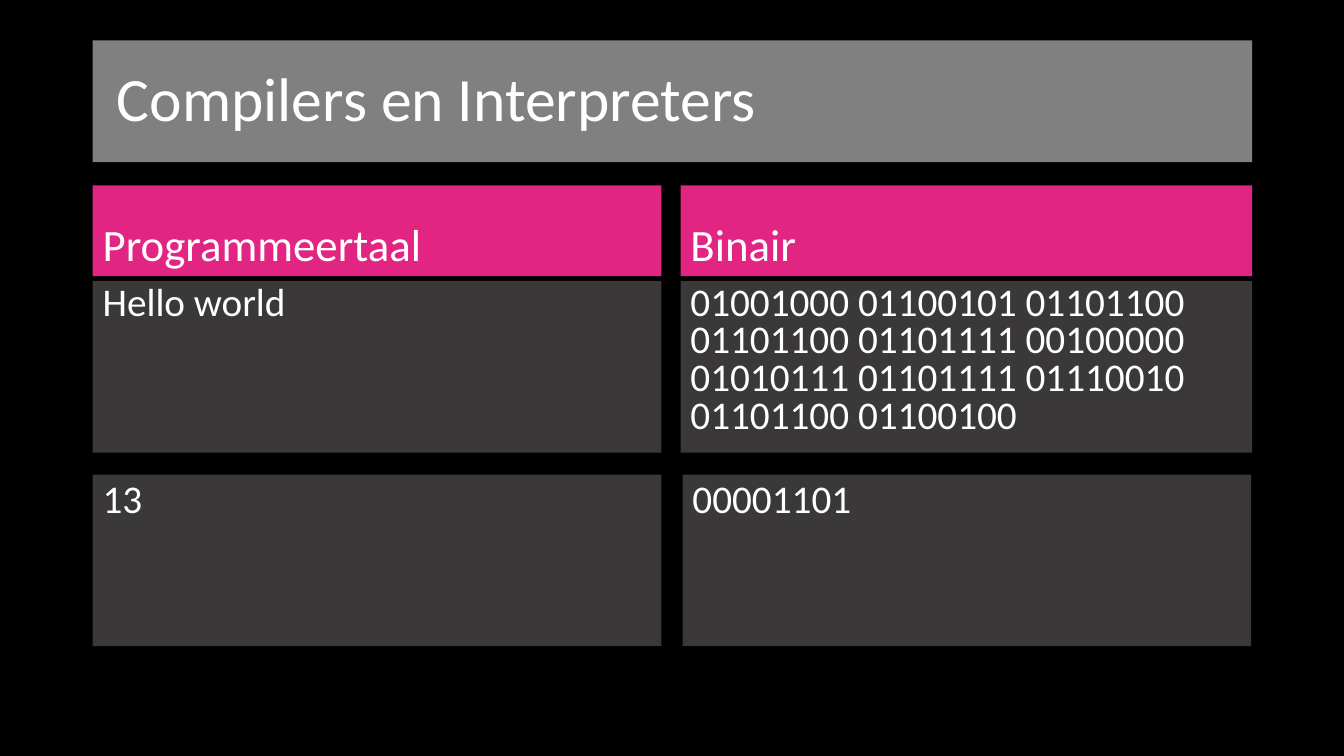
from dataclasses import dataclass

from pptx import Presentation
from pptx.dml.color import RGBColor
from pptx.enum.shapes import MSO_SHAPE
from pptx.enum.text import MSO_ANCHOR as Anchor, PP_ALIGN as Align
from pptx.slide import Slide
from pptx.util import Inches, Pt

BLACK, WHITE, GRAY = "000000", "FFFFFF", "808080"
PINK, CHARCOAL = "E22483", "3A3838"
LEFT, COLUMN_WIDTH = 0.92, 5.64
HEADING_TOP, TEXT_TOP, NUMBER_TOP = 1.84, 2.79, 4.71
HEADING_HEIGHT, CELL_HEIGHT = 0.9, 1.7


@dataclass
class Panel:
    text: str
    left: float
    top: float
    width: float
    height: float
    fill: str
    size: int
    anchor: Anchor = Anchor.TOP
    line_spacing: float = 0.9
    inset: float = 0.1


@dataclass
class Column:
    heading: str
    text: str
    number: str
    left: float
    width: float
    number_left: float


def color(value: str) -> RGBColor:
    return RGBColor.from_string(value)


def draw_panel(slide: Slide, panel: Panel) -> None:
    shape = slide.shapes.add_shape(
        MSO_SHAPE.RECTANGLE, Inches(panel.left), Inches(panel.top),
        Inches(panel.width), Inches(panel.height))
    shape.shadow.inherit = False
    shape.fill.solid()
    shape.fill.fore_color.rgb = color(panel.fill)
    shape.line.fill.background()

    frame = shape.text_frame
    frame.word_wrap = True
    frame.vertical_anchor = panel.anchor
    frame.margin_left = Inches(panel.inset)
    paragraph = frame.paragraphs[0]
    paragraph.text = panel.text
    paragraph.alignment = Align.LEFT
    paragraph.line_spacing = panel.line_spacing
    paragraph.font.name = "Calibri"
    paragraph.font.size = Pt(panel.size)
    paragraph.font.color.rgb = color(WHITE)


def draw_column(slide: Slide, column: Column) -> None:
    draw_panel(slide, Panel(column.heading, column.left, HEADING_TOP, column.width,
                            HEADING_HEIGHT, PINK, 32, Anchor.BOTTOM))
    draw_panel(slide, Panel(column.text, column.left, TEXT_TOP, column.width,
                            CELL_HEIGHT, CHARCOAL, 28, line_spacing=0.8))
    draw_panel(slide, Panel(column.number, column.number_left, NUMBER_TOP,
                            COLUMN_WIDTH, CELL_HEIGHT, CHARCOAL, 28))


TITLE = Panel("Compilers en Interpreters", LEFT, 0.4, 11.5, 1.21, GRAY, 44,
              Anchor.MIDDLE, inset=0.24)
COLUMNS = [
    Column("Programmeertaal", "Hello world", "13", LEFT, COLUMN_WIDTH, LEFT),
    Column("Binair",
           "01001000 01100101 01101100 01101100 01101111 00100000 "
           "01010111 01101111 01110010 01101100 01100100",
           "00001101", 6.75, 5.67, 6.77),
]


def main() -> None:
    presentation = Presentation()
    presentation.slide_width = Inches(13.33)
    presentation.slide_height = Inches(7.5)
    slide = presentation.slides.add_slide(presentation.slide_layouts[6])

    # Background
    slide.background.fill.solid()
    slide.background.fill.fore_color.rgb = color(BLACK)

    # Title and comparison columns
    draw_panel(slide, TITLE)
    for column in COLUMNS:
        draw_column(slide, column)

    presentation.save("out.pptx")


if __name__ == "__main__":
    main()
